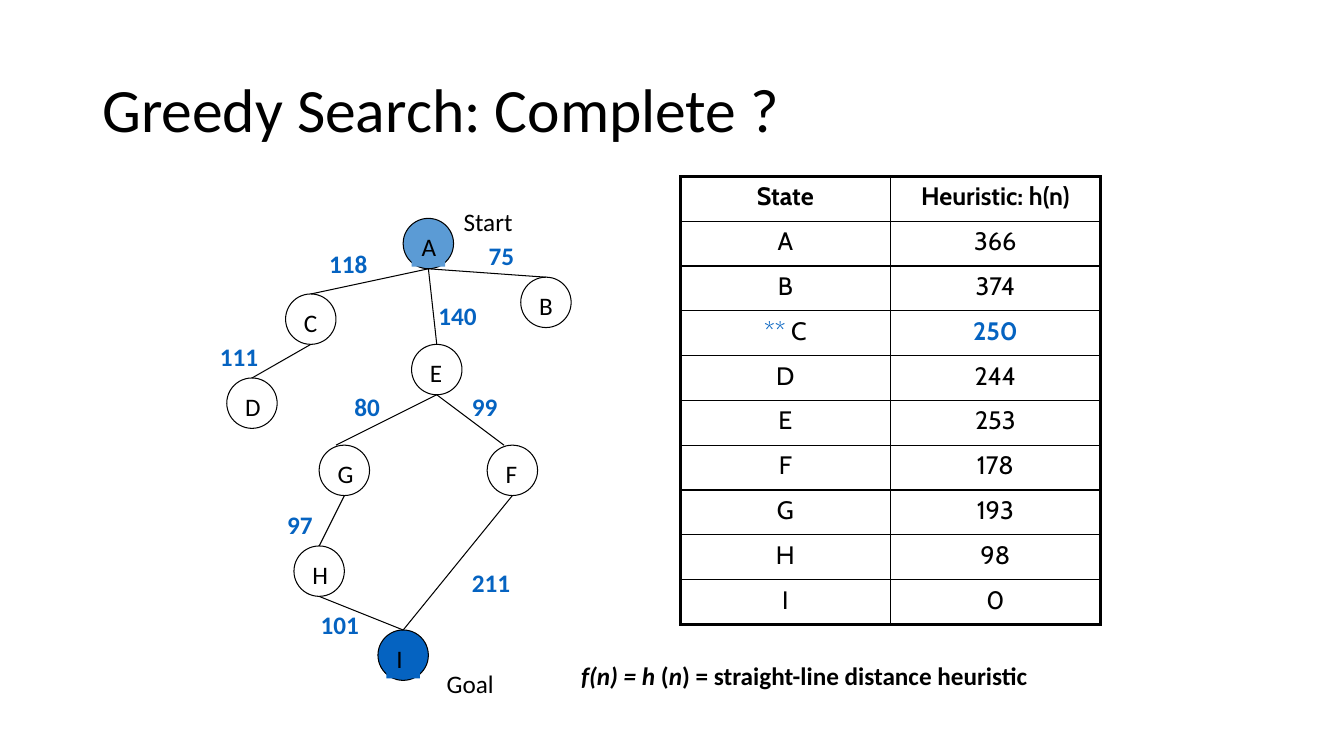
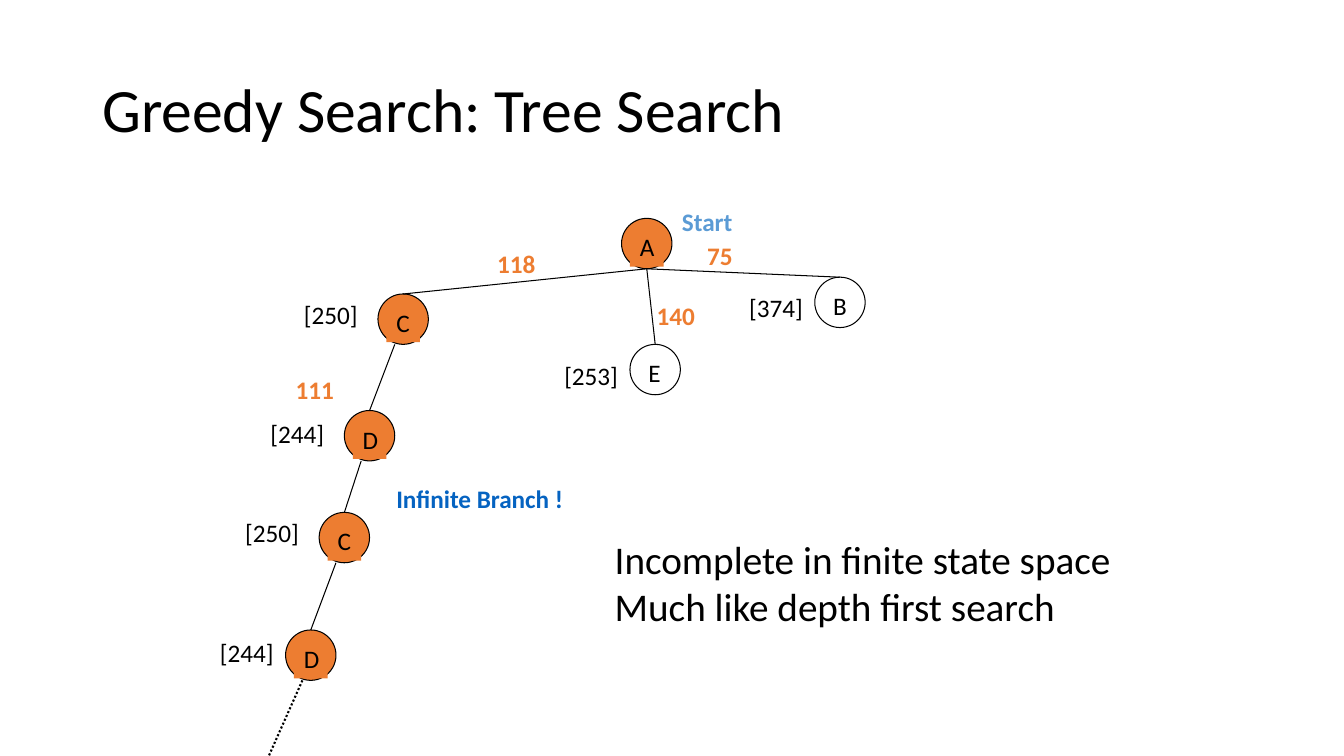
from dataclasses import dataclass

from lxml.etree import SubElement
from pptx import Presentation
from pptx.dml.color import RGBColor
from pptx.enum.dml import MSO_LINE
from pptx.enum.shapes import MSO_CONNECTOR, MSO_SHAPE
from pptx.enum.text import MSO_ANCHOR, PP_ALIGN
from pptx.oxml import parse_xml
from pptx.oxml.ns import nsdecls, qn
from pptx.util import Pt

SCALE = 9525  # EMU in one px
NODE = 48
INSET = 8
LINE_HEIGHT = 38


@dataclass(frozen=True)
class Theme:
    black: str = "000000"
    link: str = "0563C1"
    sky: str = "5B9BD5"
    orange: str = "ED7D31"
    body_font: str = "Calibri"
    table_font: str = "Cabin"
    title_size: int = 44
    note_size: int = 28
    label_size: int = 18
    thin: float = 0.75
    grid: float = 1
    dotted: float = 1.5
    frame: float = 2.25


THEME = Theme()


def px(*lengths):
    return [length * SCALE for length in lengths]


def rgb(value):
    return RGBColor.from_string(value)


# Text
def write(para, content, size=THEME.label_size, color=THEME.black,
          font=THEME.body_font, bold=False, italic=False, align=PP_ALIGN.LEFT):
    """Write a string, or (string, overrides) pieces, into a paragraph."""
    para.alignment = align
    pieces = [(content, {})] if isinstance(content, str) else content
    for text, changes in pieces:
        look = dict(color=color, bold=bold, italic=italic) | changes
        span = para.add_run()
        span.text = text
        span.font.name = font
        span.font.size = Pt(size)
        span.font.bold = look["bold"]
        span.font.italic = look["italic"]
        span.font.color.rgb = rgb(look["color"])


def add_text(parent, lines, left, top, width, height=LINE_HEIGHT, fill=None,
             anchor=MSO_ANCHOR.TOP, spacing=None, **look):
    box = parent.shapes.add_textbox(*px(left, top, width, height))
    if fill:
        box.fill.solid()
        box.fill.fore_color.rgb = rgb(fill)
    frame = box.text_frame
    frame.word_wrap = True
    frame.vertical_anchor = anchor
    for index, line in enumerate(lines):
        para = frame.add_paragraph() if index else frame.paragraphs[0]
        if spacing:
            para.line_spacing = spacing
        write(para, line, **look)


def add_labels(page, labels, **look):
    for text, left, top, width in labels:
        add_text(page, [text], left, top, width, **look)


def add_page(deck, title):
    page = deck.slides.add_slide(deck.slide_layouts[6])
    add_text(page, [title], 88, 38, 1104, 139, anchor=MSO_ANCHOR.MIDDLE,
             spacing=0.9, size=THEME.title_size)
    return page


# Tree
def add_node(page, name, left, top, fill):
    group = page.shapes.add_group_shape()
    circle = group.shapes.add_shape(MSO_SHAPE.OVAL, *px(left, top, NODE, NODE))
    circle.shadow.inherit = False
    circle.line.color.rgb = rgb(THEME.black)
    circle.line.width = Pt(THEME.thin)
    if fill:
        circle.fill.solid()
        circle.fill.fore_color.rgb = rgb(fill)
    else:
        circle.fill.background()
    add_text(group, [name], left + INSET, top + INSET, NODE - 2 * INSET, fill=fill)


def add_line(page, start, end, width=THEME.thin, dash=None):
    line = page.shapes.add_connector(MSO_CONNECTOR.STRAIGHT, *px(*start, *end))
    line.line.color.rgb = rgb(THEME.black)
    line.line.width = Pt(width)
    if dash:
        line.line.dash_style = dash
    SubElement(line._element.spPr, qn("a:effectLst"))


def bottom_of(node, shift=0):
    left, top, _ = node
    return left + NODE // 2 + shift, top + NODE


def top_of(node, shift=0):
    left, top, _ = node
    return left + NODE // 2 + shift, top


def add_tree(page, nodes, edges):
    """Draw nodes, then edges given as parent, child, and their end shifts."""
    for key, (left, top, fill) in nodes.items():
        add_node(page, key[0], left, top, fill)
    for parent, child, start_shift, end_shift in edges:
        add_line(page, bottom_of(nodes[parent], start_shift),
                 top_of(nodes[child], end_shift))


# Table
def set_borders(cell, widths):
    properties = cell._tc.get_or_add_tcPr()
    for index, (side, width) in enumerate(zip("LRTB", widths)):
        properties.insert(index, parse_xml(
            f'<a:ln{side} {nsdecls("a")} w="{Pt(width)}"><a:solidFill>'
            f'<a:srgbClr val="{THEME.black}"/></a:solidFill></a:ln{side}>'))


def add_grid(page, rows, left, top, width, height):
    table = page.shapes.add_table(len(rows), len(rows[0]),
                                  *px(left, top, width, height)).table
    table.first_row = table.horz_banding = False
    last_row, last_column = len(rows) - 1, len(rows[0]) - 1
    for r, row in enumerate(rows):
        table.rows[r].height = height * SCALE // len(rows)
        for c, content in enumerate(row):
            cell = table.cell(r, c)
            cell.fill.background()
            outer = (c == 0, c == last_column, r == 0, r == last_row)
            set_borders(cell, [THEME.frame if edge else THEME.grid for edge in outer])
            write(cell.text_frame.paragraphs[0], content, font=THEME.table_font,
                  bold=r == 0, align=PP_ALIGN.CENTER)


# Slides
def build_complete(deck):
    page = add_page(deck, "Greedy Search: Complete ?")
    add_grid(page, [
        ("State", "Heuristic: h(n)"),
        ("A", "366"),
        ("B", "374"),
        ([("**", {"color": THEME.link}), (" C", {})],
         [("250", {"color": THEME.link, "bold": True})]),
        ("D", "244"),
        ("E", "253"),
        ("F", "178"),
        ("G", "193"),
        ("H", "98"),
        ("I", "0"),
    ], 648, 168, 400, 427)
    nodes = {
        "A": (384, 208, THEME.sky),
        "B": (496, 264, None),
        "C": (272, 280, None),
        "D": (216, 360, None),
        "E": (392, 328, None),
        "F": (464, 424, None),
        "G": (304, 424, None),
        "H": (280, 520, None),
        "I": (360, 600, THEME.link),
    }
    add_tree(page, nodes, [
        ("A", "B", 0, 0), ("A", "C", 0, 0), ("A", "E", 0, 0),
        ("C", "D", 0, 0), ("E", "F", 0, -8), ("E", "G", 0, -8),
        ("G", "H", 0, 0), ("F", "I", 0, 0), ("H", "I", 0, 0),
    ])
    add_labels(page, [
        ("118", 304, 232, 80), ("75", 456, 224, 64), ("140", 408, 281, 80),
        ("111", 200, 320, 80), ("80", 328, 368, 64), ("99", 440, 368, 64),
        ("97", 264, 480, 64), ("211", 440, 536, 80), ("101", 296, 576, 88),
    ], color=THEME.link, bold=True)
    add_labels(page, [("Start", 432, 192, 128), ("Goal", 416, 632, 128)])
    formula = [("f(n) = h ", {"italic": True}), ("(", {}), ("n", {"italic": True}),
               (") = straight-line distance heuristic", {})]
    add_text(page, [formula], 544, 624, 576, bold=True)


def build_tree_search(deck):
    page = add_page(deck, "Greedy Search: Tree Search")
    nodes = {
        "A": (592, 208, THEME.orange),
        "B": (776, 264, None),
        "C": (360, 280, THEME.orange),
        "E": (600, 328, None),
        "D": (328, 391, THEME.orange),
        "C again": (304, 488, THEME.orange),
        "D again": (272, 600, THEME.orange),
    }
    add_tree(page, nodes, [
        ("A", "B", 0, 0), ("A", "C", 0, 0), ("A", "E", 0, 0),
        ("C", "D", -8, 0), ("D", "C again", -8, 0), ("C again", "D again", -8, 0),
    ])
    add_line(page, bottom_of(nodes["D again"], -8), (256, 720),
             width=THEME.dotted, dash=MSO_LINE.ROUND_DOT)
    add_labels(page, [
        ("118", 464, 232, 80), ("75", 664, 224, 64),
        ("140", 616, 281, 80), ("111", 272, 352, 80),
    ], color=THEME.orange, bold=True)
    add_labels(page, [
        ("[374]", 704, 274, 88), ("[250]", 280, 280, 88), ("[253]", 528, 338, 88),
        ("[244]", 248, 394, 88), ("[250]", 224, 488, 88), ("[244]", 200, 602, 88),
    ])
    add_text(page, ["Start"], 640, 192, 128, color=THEME.sky, bold=True)
    add_text(page, ["Infinite Branch !"], 368, 456, 240, color=THEME.link, bold=True)
    add_text(page, ["Incomplete in finite state space", "Much like depth first search"],
             576, 505, 544, 100, size=THEME.note_size)


def main():
    deck = Presentation()
    deck.slide_width, deck.slide_height = px(1280, 720)
    build_complete(deck)
    build_tree_search(deck)
    deck.save("out.pptx")


if __name__ == "__main__":
    main()
